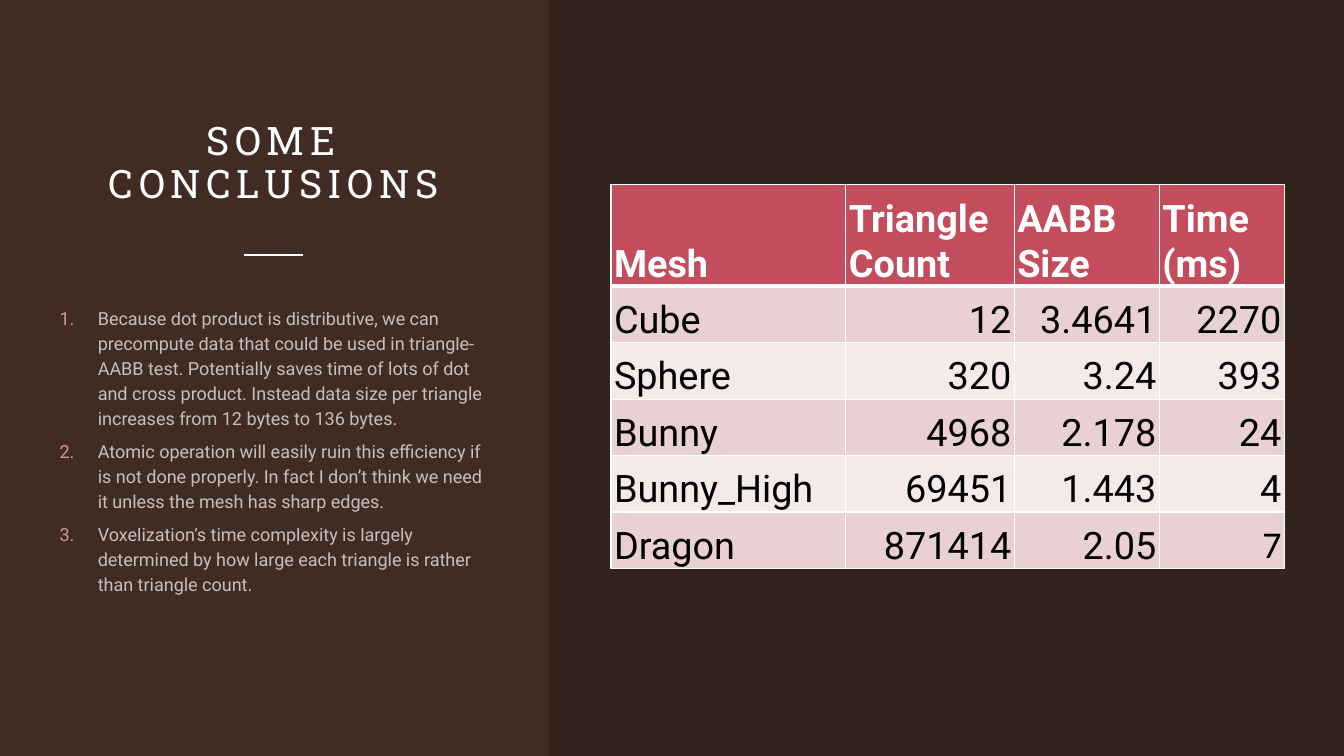
from lxml.etree import SubElement as Sub
from pptx import Presentation
from pptx.dml.color import RGBColor as RGB
from pptx.enum.shapes import MSO_CONNECTOR as Line, MSO_SHAPE as Shape
from pptx.enum.text import MSO_ANCHOR as Anchor, PP_ALIGN as Align
from pptx.oxml.ns import qn
from pptx.util import Inches, Pt

BROWN, WHITE, BLACK = "412C24", "FFFFFF", "000000"
ROSE, RED, BANDS = "DB949E", "C34D5D", ("E9D0D2", "F5E9EA")
TITLE = "SOME CONCLUSIONS"
NOTES = [
    "Because dot product is distributive, we can precompute data that could be "
    "used in triangle-AABB test. Potentially saves time of lots of dot and cross "
    "product. Instead data size per triangle increases from 12 bytes to 136 bytes.",
    "Atomic operation will easily ruin this efficiency if is not done properly. "
    "In fact I don’t think we need it unless the mesh has sharp edges.",
    "Voxelization’s time complexity is largely determined by how large each "
    "triangle is rather than triangle count.",
]
ROWS = [
    ("Mesh", "Triangle Count", "AABB Size", "Time (ms)"),
    ("Cube", "12", "3.4641", "2270"),
    ("Sphere", "320", "3.24", "393"),
    ("Bunny", "4968", "2.178", "24"),
    ("Bunny_High", "69451", "1.443", "4"),
    ("Dragon", "871414", "2.05", "7"),
]
COLS = (2.33, 1.67, 1.44, 1.24)


def paint(fill, color, alpha=100):
    """Give a fill a solid colour, with opacity in percent."""
    fill.solid()
    fill.fore_color.rgb = RGB.from_string(color)
    if alpha < 100:
        for tone in fill._xPr.iter(qn("a:srgbClr")):
            Sub(tone, qn("a:alpha"), val=str(alpha * 1000))


def style(para, size, color, font="Roboto", bold=False, alpha=100):
    """Format every run of a paragraph."""
    for run in para.runs:
        run.font.size, run.font.name, run.font.bold = Pt(size), font, bold
        paint(run.font.fill, color, alpha)


def add_box(slide, left, top, width, height):
    """Add a wrapping text box without margins and return its frame."""
    box = slide.shapes.add_textbox(*map(Inches, (left, top, width, height)))
    frame = box.text_frame
    frame.word_wrap = True
    frame.margin_left = frame.margin_right = 0
    frame.margin_top = frame.margin_bottom = 0
    return frame


def add_rule(slide, left, top, width):
    """Draw a thin white line to the right."""
    rule = slide.shapes.add_connector(
        Line.STRAIGHT, Inches(left), Inches(top), Inches(left + width), Inches(top))
    rule.line.width = Pt(1)
    paint(rule.line.fill, WHITE)
    Sub(rule._element.spPr, qn("a:effectLst"))


def add_notes(slide, left, top, width, height):
    """Write the numbered conclusions."""
    frame = add_box(slide, left, top, width, height)
    for i, note in enumerate(NOTES):
        para = frame.add_paragraph() if i else frame.paragraphs[0]
        para.text = note
        para.line_spacing, para.space_after = 1.15, Pt(6)
        style(para, 12.9, WHITE, alpha=70)
        props = para._p.get_or_add_pPr()
        props.set("marL", str(Inches(0.38)))
        props.set("indent", str(-Inches(0.38)))
        Sub(Sub(props, qn("a:buClr")), qn("a:srgbClr"), val=ROSE)
        Sub(props, qn("a:buAutoNum"), type="arabicPeriod")


def add_left(slide, left, top, width, height):
    """Place title, rule and notes in the left column."""
    frame = add_box(slide, left, top, width, 1.46)
    frame.vertical_anchor = Anchor.BOTTOM
    para = frame.paragraphs[0]
    para.text, para.alignment, para.line_spacing = TITLE, Align.CENTER, 0.9
    style(para, 28, WHITE, "Roboto Slab")
    para.runs[0].font._element.set("spc", "400")
    add_rule(slide, left + (width - 0.59) / 2, top + 1.94, 0.59)
    add_notes(slide, left, top + 2.43, width, height - 2.43)


def edge(cell, row):
    """Draw white cell borders, thick below the header."""
    props = cell._tc.get_or_add_tcPr()
    thick = {(0, "B"), (1, "T")}
    for side in "LRTB":
        width = Pt(3 if (row, side) in thick else 1)
        line = Sub(props, qn("a:ln" + side), w=str(width))
        Sub(Sub(line, qn("a:solidFill")), qn("a:srgbClr"), val=WHITE)


def add_grid(slide, left, top, width, height):
    """Build the timing table."""
    grid = slide.shapes.add_table(
        len(ROWS), len(COLS), *map(Inches, (left, top, width, height))).table
    for col, size in zip(grid.columns, COLS):
        col.width = Inches(size)
    for r, texts in enumerate(ROWS):
        grid.rows[r].height = Inches(0.56 if r else 1.01)
        for c, text in enumerate(texts):
            cell = grid.cell(r, c)
            edge(cell, r)
            paint(cell.fill, BANDS[(r - 1) % 2] if r else RED)
            cell.vertical_anchor = Anchor.BOTTOM
            cell.margin_left = cell.margin_right = cell.margin_top = Inches(0.03)
            cell.margin_bottom = 0
            para = cell.text_frame.paragraphs[0]
            para.text = text
            para.alignment = Align.RIGHT if r and c else Align.LEFT
            last = (r, c) == (len(ROWS) - 1, len(COLS) - 1)
            style(para, 27, BLACK if r else WHITE,
                  "Calibri" if last else "Roboto", not r)


def add_right(slide, left, top, width, height):
    """Place the dark panel and its table."""
    panel = slide.shapes.add_shape(
        Shape.RECTANGLE, *map(Inches, (left, top, width, height)))
    panel.shadow.inherit = False
    panel.line.fill.background()
    paint(panel.fill, BLACK, 20)
    add_grid(slide, left + 0.61, top + 1.83, sum(COLS), 3.81)


def main():
    """Build and save the slide."""
    deck = Presentation()
    deck.slide_width, deck.slide_height = Inches(13.33), Inches(7.5)
    slide = deck.slides.add_slide(deck.slide_layouts[6])
    paint(slide.background.fill, BROWN)
    add_left(slide, 0.59, 0.59, 4.25, 5.72)
    add_right(slide, 5.45, 0, 7.88, 7.5)
    deck.save("out.pptx")


main()
